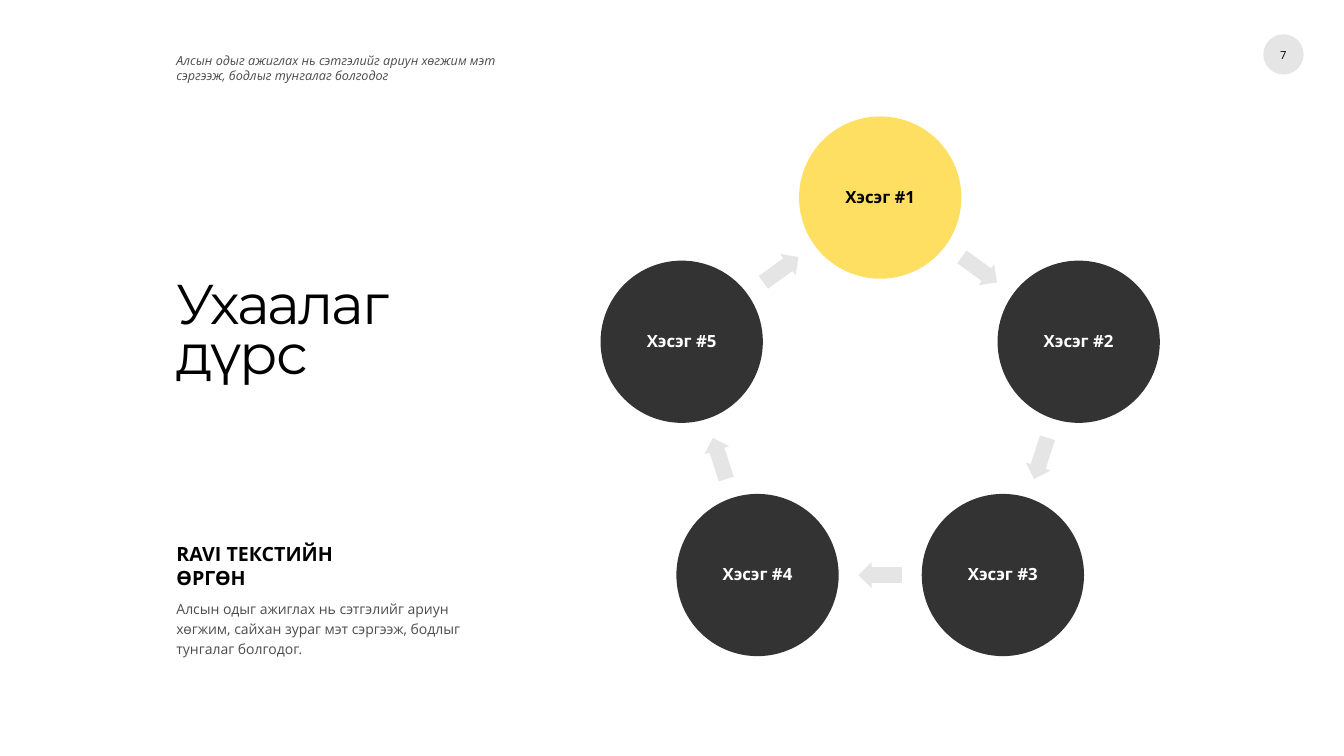
from math import cos, pi, sin

from lxml import etree
from pptx import Presentation
from pptx.dml.color import RGBColor as RGB
from pptx.enum.shapes import MSO_SHAPE as SHAPE
from pptx.enum.text import MSO_ANCHOR as ANCHOR, PP_ALIGN as ALIGN
from pptx.oxml.ns import qn
from pptx.util import Inches, Pt

TITLE = "Ухаалаг\vдүрс"
TAGLINE = "Алсын одыг ажиглах нь сэтгэлийг ариун хөгжим мэт сэргээж, бодлыг тунгалаг болгодог"
HEADING = "RAVI ТЕКСТИЙН ӨРГӨН"
BODY = "Алсын одыг ажиглах нь сэтгэлийг ариун хөгжим, сайхан зураг мэт сэргээж, бодлыг тунгалаг болгодог."
PAGE = "7"
STAGES = ["Хэсэг #1", "Хэсэг #2", "Хэсэг #3", "Хэсэг #4", "Хэсэг #5"]

THEME = {
    "black": ("000000", 100),
    "white": ("FFFFFF", 100),
    "accent": ("FEDF62", 100),
    "dark": ("000000", 80),
    "muted": ("000000", 70),
    "pale": ("000000", 10),
    "head_font": "Montserrat",
    "font": "Open Sans",
    "title": 40,
    "heading": 14,
    "label": 12,
    "body": 10,
    "tagline": 9,
    "page": 8,
}

LEFT = 1.75
RING_X, RING_Y, RING_R = 8.73, 4.03, 2.07
CIRCLE = 1.61
ARROW_W, ARROW_H = 0.43, 0.26


def paint(fill, element, name):
    color, opacity = THEME[name]
    fill.solid()
    fill.fore_color.rgb = RGB.from_string(color)
    if opacity < 100:
        clr = next(element.iter(qn("a:srgbClr")))
        etree.SubElement(clr, qn("a:alpha")).set("val", str(opacity * 1000))


def add_shape(s, kind, cx, cy, w, h, color):
    sp = s.shapes.add_shape(kind, Inches(cx - w / 2), Inches(cy - h / 2), Inches(w), Inches(h))
    sp.shadow.inherit = False
    paint(sp.fill, sp._element.spPr, color)
    sp.line.fill.background()
    return sp


def set_text(sp, text, size, color="black", font="font", bold=False, italic=False,
             align=ALIGN.LEFT, anchor=ANCHOR.TOP, spacing=None, side=0, top=0, bottom=0):
    tf = sp.text_frame
    tf.word_wrap = True
    tf.vertical_anchor = anchor
    tf.margin_left = tf.margin_right = Inches(side)
    tf.margin_top, tf.margin_bottom = Inches(top), Inches(bottom)
    p = tf.paragraphs[0]
    p.text = text
    p.alignment = align
    p.line_spacing = spacing
    for r in p.runs:
        r.font.name = THEME[font]
        r.font.size = Pt(THEME[size])
        r.font.bold, r.font.italic = bold, italic
        paint(r.font.fill, r._r, color)
    return p


def add_text(s, x, y, w, h, text, size, **style):
    sp = s.shapes.add_textbox(Inches(x), Inches(y), Inches(w), Inches(h))
    return set_text(sp, text, size, **style)


def add_cycle(s):
    count = len(STAGES)
    step = 2 * pi / count
    centers = [(RING_X + RING_R * sin(i * step), RING_Y - RING_R * cos(i * step))
               for i in range(count)]
    for i, (label, (x, y)) in enumerate(zip(STAGES, centers)):
        fill, ink = ("accent", "black") if i == 0 else ("dark", "white")
        circle = add_shape(s, SHAPE.OVAL, x, y, CIRCLE, CIRCLE, fill)
        set_text(circle, label, "label", color=ink, bold=True, align=ALIGN.CENTER,
                 anchor=ANCHOR.MIDDLE, spacing=0.9, side=0.02, top=0.02, bottom=0.02)

        next_x, next_y = centers[(i + 1) % count]
        arrow = add_shape(s, SHAPE.RIGHT_ARROW, (x + next_x) / 2, (y + next_y) / 2,
                          ARROW_W, ARROW_H, "pale")
        arrow.adjustments[0], arrow.adjustments[1] = 0.6, 0.5
        arrow.rotation = 360 / count * (i + 0.5)


def main():
    prs = Presentation()
    prs.slide_width, prs.slide_height = Inches(13.33), Inches(7.5)
    s = prs.slides.add_slide(prs.slide_layouts[6])

    add_shape(s, SHAPE.OVAL, 12.73, 0.54, 0.4, 0.4, "pale")
    add_text(s, 12.45, 0.42, 0.56, 0.25, PAGE, "page", align=ALIGN.CENTER, anchor=ANCHOR.MIDDLE)

    p = add_text(s, LEFT, 2.61, 4.58, 1.95, TITLE, "title", font="head_font",
                 spacing=0.75, top=0.21)
    for r in p.runs:
        r.font._element.set("spc", "-150")
    add_text(s, LEFT, 0.52, 3.29, 1, TAGLINE, "tagline", color="muted", italic=True)

    add_cycle(s)

    add_text(s, LEFT, 5.87, 3.15, 0.71, BODY, "body", color="muted", spacing=1.2,
             top=0.05, bottom=0.05)
    add_text(s, LEFT, 5.33, 1.68, 0.34, HEADING, "heading", bold=True, top=0.05, bottom=0.05)

    prs.save("out.pptx")


if __name__ == "__main__":
    main()
